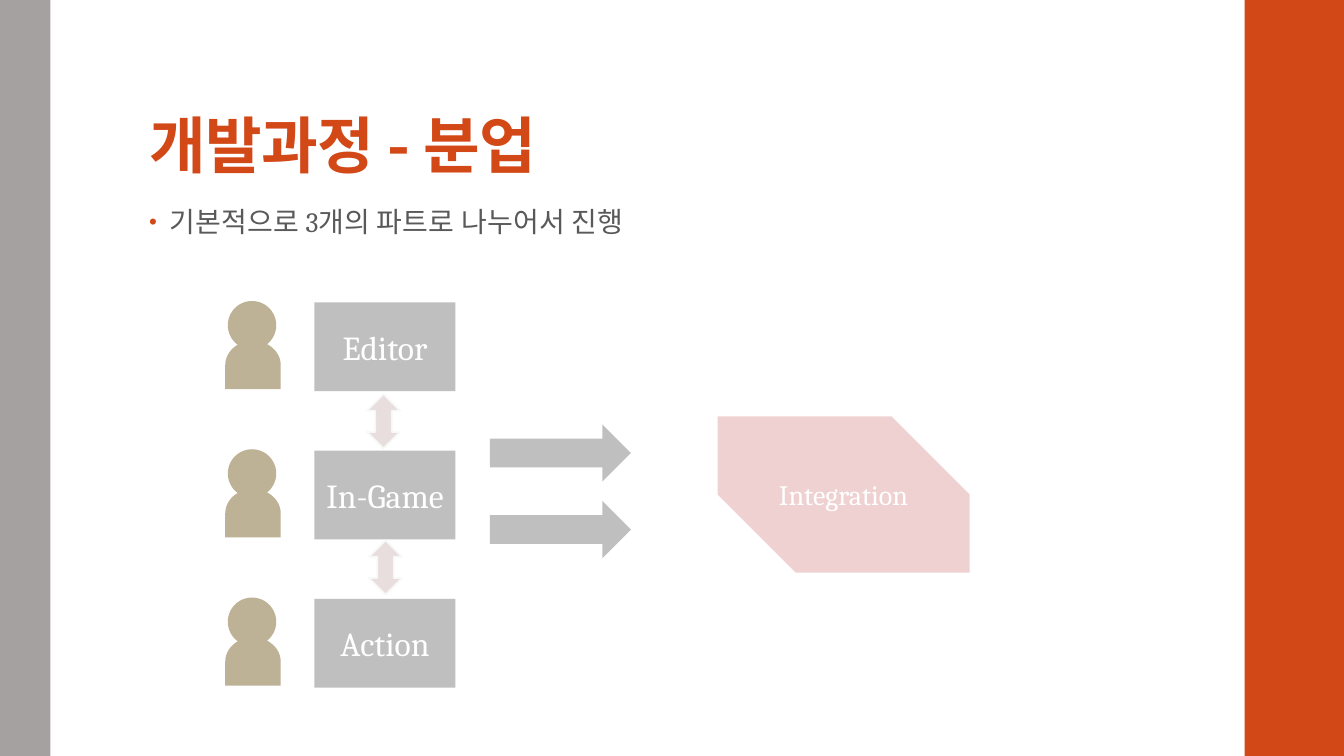
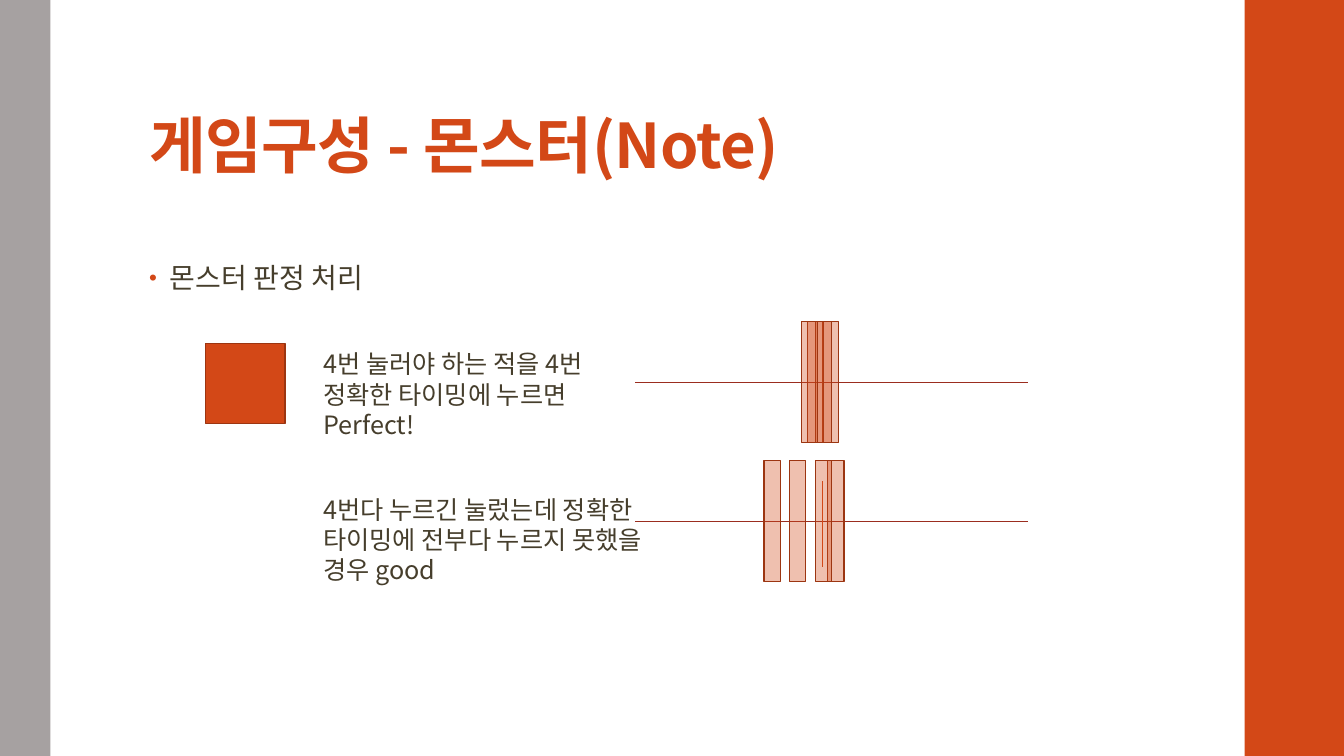
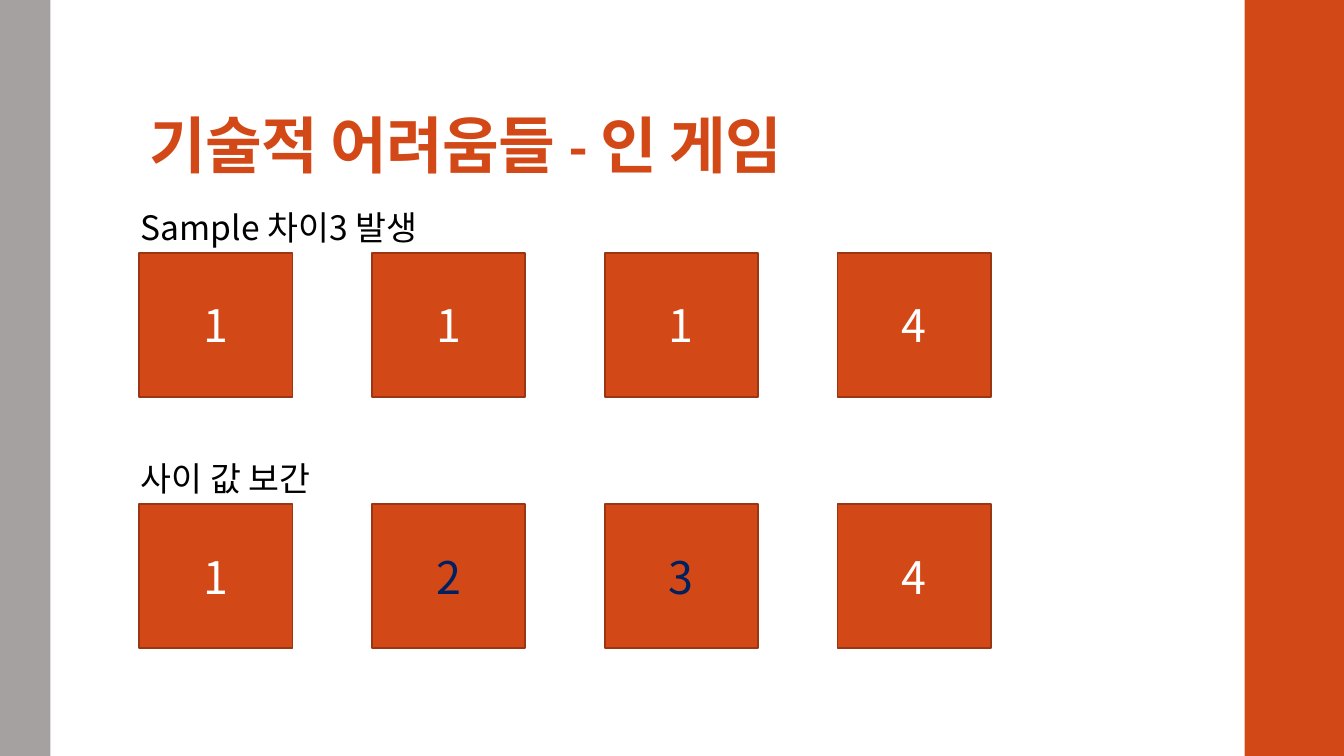
from dataclasses import dataclass

import pptx
import pptx.dml.color
import pptx.enum.shapes
import pptx.enum.text
import pptx.oxml.ns
import pptx.util

Pt = pptx.util.Pt
RGB = pptx.dml.color.RGBColor.from_string
SHAPE = pptx.enum.shapes.MSO_SHAPE
ALIGN = pptx.enum.text.PP_ALIGN
ANCHOR = pptx.enum.text.MSO_ANCHOR
qn = pptx.oxml.ns.qn


@dataclass(frozen=True)
class Theme:
    accent: str = "D34817"
    edge: str = "9C3511"
    axis: str = "9B2D1F"
    band: str = "A6A1A1"
    person: str = "BDB196"
    block: str = "BFBFBF"
    result: str = "EFD1D1"
    link: str = "E8DEDE"
    link_edge: str = "F9F9F9"
    grey_text: str = "595959"
    text: str = "463E2C"
    white: str = "FFFFFF"
    black: str = "000000"
    navy: str = "002060"
    serif: str = "Cambria"
    sans: str = "Noto Sans CJK KR"
    title_size: int = 44
    number_size: int = 32
    label_size: int = 24
    body_size: int = 20
    note_size: int = 18
    edge_width: float = 1.1
    axis_width: float = 0.75


T = Theme()

BANDS = [((889, 0, 71, 540), T.accent), ((0, 0, 36, 540), T.band)]
TITLE_BOX = (99.4, 23, 763, 110.2)
BODY_LEFT, BODY_WIDTH = 99.4, 677

TEAM_SLIDE = {
    "title": "개발과정 - 분업",
    "bullet": "기본적으로 3개의 파트로 나누어서 진행",
    "teams": ["Editor", "In-Game", "Action"],
    "result": "Integration",
    "links": [(262.1, 281.5), (263.5, 385.9)],
    "flow_tops": [303.1, 357.8],
}

# bars: left edges of the key presses on each timing row
NOTE_SLIDE = {
    "title": "게임구성 - 몬스터(Note)",
    "bullet": "몬스터 판정 처리",
    "rows": [
        {"top": 229.7, "text_top": 245.5, "bars": [587.5, 576.7, 582.5, 572.4],
         "text": ["4번 눌러야 하는 적을 4번 정확한 타이밍에 누르면", "Perfect!"]},
        {"top": 329, "text_top": 349.2, "bars": [591.1, 563.8, 582.5, 545.8],
         "text": ["4번다 누르긴 눌렀는데 정확한 타이밍에 전부다 누르지 못했을 경우 good"]},
    ],
}

SAMPLE_SLIDE = {
    "title": "기술적 어려움들 - 인 게임",
    "rows": [
        {"top": 180.7, "label": "Sample 차이3 발생", "font": T.sans,
         "values": [1, 1, 1, 4], "filled_in": []},
        {"top": 360, "label": "사이 값 보간", "font": T.serif,
         "values": [1, 2, 3, 4], "filled_in": [2, 3]},
    ],
}


def put(obj, **values):
    for name, value in values.items():
        setattr(obj, name, value)


def points(box):
    return [Pt(v) for v in box]


def write(tf, lines, font, size, color, bold=False, spacing=None, **paragraph):
    """Fill a text frame, one paragraph a line, Korean always in the sans font."""
    for i, line in enumerate(lines):
        p = tf.add_paragraph() if i else tf.paragraphs[0]
        put(p, **paragraph)
        r = p.add_run()
        r.text = line
        put(r.font, name=font, size=Pt(size), bold=bold)
        r.font.color.rgb = RGB(color)
        rPr = r._r.get_or_add_rPr()
        if spacing is not None:
            rPr.set("spc", str(round(spacing * 100)))
        ea = rPr.makeelement(qn("a:ea"), {"typeface": T.sans})
        rPr.find(qn("a:latin")).addnext(ea)


def set_alpha(solid_fill, percent):
    color = solid_fill.find(qn("a:srgbClr"))
    color.append(color.makeelement(qn("a:alpha"), {"val": str(percent * 1000)}))


def add_shape(shapes, kind, box, fill, edge=None, width=T.edge_width,
              alpha=None, edge_alpha=None):
    sp = shapes.add_shape(kind, *points(box))
    sp.shadow.inherit = False
    sp.fill.solid()
    sp.fill.fore_color.rgb = RGB(fill)
    spPr = sp.element.spPr
    if alpha:
        set_alpha(spPr.find(qn("a:solidFill")), alpha)
    if edge:
        sp.line.color.rgb = RGB(edge)
        sp.line.width = Pt(width)
        if edge_alpha:
            set_alpha(spPr.find(qn("a:ln")).find(qn("a:solidFill")), edge_alpha)
    else:
        sp.line.fill.background()
    return sp


def add_label(sp, text, font, size, color=T.white):
    sp.text_frame.vertical_anchor = ANCHOR.MIDDLE
    write(sp.text_frame, [text], font, size, color, alignment=ALIGN.CENTER)


def add_line(shapes, x1, y1, x2, y2, color):
    line = shapes.add_connector(pptx.enum.shapes.MSO_CONNECTOR.STRAIGHT,
                                *points((x1, y1, x2, y2)))
    line.line.color.rgb = RGB(color)
    line.line.width = Pt(T.axis_width)
    spPr = line.element.spPr
    spPr.append(spPr.makeelement(qn("a:effectLst"), {}))


def add_text(shapes, box, lines, font, size, color):
    tf = shapes.add_textbox(*points(box)).text_frame
    tf.word_wrap = True
    write(tf, lines, font, size, color)


def add_bullet(shapes, top, text, font, color):
    tf = shapes.add_textbox(*points((BODY_LEFT, top, BODY_WIDTH, 40))).text_frame
    tf.word_wrap = True
    pPr = tf.paragraphs[0]._p.get_or_add_pPr()
    indent = Pt(14.4)
    pPr.set("marL", str(int(indent)))
    pPr.set("indent", str(-int(indent)))
    bullet_color = pPr.makeelement(qn("a:buClr"), {})
    bullet_color.append(pPr.makeelement(qn("a:srgbClr"), {"val": T.accent}))
    pPr.append(bullet_color)
    for tag, attrs in (("a:buSzPct", {"val": "80000"}),
                       ("a:buFont", {"typeface": "Arial"}),
                       ("a:buChar", {"char": "•"})):
        pPr.append(pPr.makeelement(qn(tag), attrs))
    write(tf, [text], font, T.body_size, color, spacing=0.1,
          line_spacing=0.95, space_after=Pt(2))


def add_slide(prs, title, font=T.sans):
    slide = prs.slides.add_slide(prs.slide_layouts.get_by_name("Title Only"))
    sp = slide.shapes.title
    put(sp, **dict(zip(("left", "top", "width", "height"), points(TITLE_BOX))))
    tf = sp.text_frame
    put(tf, vertical_anchor=ANCHOR.BOTTOM, word_wrap=True,
        auto_size=pptx.enum.text.MSO_AUTO_SIZE.NONE, margin_left=Pt(7.2),
        margin_right=Pt(7.2), margin_top=Pt(2.2), margin_bottom=Pt(3.6))
    write(tf, [title], font, T.title_size, T.accent, bold=True, spacing=-0.5,
          alignment=ALIGN.LEFT, line_spacing=0.9)
    return slide


def move_bands_to_layout(slide):
    """Draw the side bands once, on the layout that every slide uses."""
    for box, color in BANDS:
        band = add_shape(slide.shapes, SHAPE.RECTANGLE, box, color)
        slide.slide_layout.shapes.element.append(band.element)


def add_person(shapes, left, top):
    person = shapes.add_group_shape().shapes
    add_shape(person, SHAPE.OVAL, (left, top, 34.6, 34.6), T.person)
    body = add_shape(person, SHAPE.FLOWCHART_DELAY,
                     (left + 0.7, top + 25.9, 34.6, 39.6), T.person)
    body.rotation = 270


def build_teams(prs, data):
    slide = add_slide(prs, data["title"])
    move_bands_to_layout(slide)
    shapes = slide.shapes
    add_bullet(shapes, 144, data["bullet"], T.serif, T.grey_text)
    for i, team in enumerate(data["teams"]):
        top = 216 + 105.9 * i
        add_person(shapes, 162.7, top - 1)
        sp = add_shape(shapes, SHAPE.RECTANGLE, (224.6, top, 100.8, 63.4), T.block)
        add_label(sp, team, T.serif, T.label_size)
    sp = add_shape(shapes, SHAPE.SNIP_2_DIAG_RECTANGLE,
                   (512.6, 297.4, 180, 111.6), T.result)
    sp.adjustments[0], sp.adjustments[1] = 0, 0.5
    add_label(sp, data["result"], T.serif, T.body_size)
    for top in data["flow_tops"]:
        add_shape(shapes, SHAPE.RIGHT_ARROW, (349.9, top, 100.8, 41), T.block)
    for left, top in data["links"]:
        add_shape(shapes, SHAPE.UP_DOWN_ARROW, (left, top, 23.8, 38.9), T.link,
                  T.link_edge, 1.35, edge_alpha=95)


def build_notes(prs, data):
    shapes = add_slide(prs, data["title"]).shapes
    add_bullet(shapes, 184, data["bullet"], T.sans, T.text)
    add_shape(shapes, SHAPE.RECTANGLE, (146.9, 245.5, 56.9, 56.9), T.accent, T.edge)
    for row in data["rows"]:
        top = row["top"]
        add_line(shapes, 453.6, top + 43.7, 734.4, top + 43.7, T.axis)
        add_line(shapes, 587.5, top + 14.8, 587.5, top + 76, T.accent)
        add_text(shapes, (223.9, row["text_top"], 244.8, 94), row["text"],
                 T.sans, T.note_size, T.text)
        for left in row["bars"]:
            add_shape(shapes, SHAPE.RECTANGLE, (left, top, 11.6, 86.4),
                      T.accent, T.edge, alpha=34)


def build_samples(prs, data):
    shapes = add_slide(prs, data["title"], T.serif).shapes
    for row in data["rows"]:
        for i, value in enumerate(row["values"]):
            box = (99.4 + 166.3 * i, row["top"], 109.4, 103)
            sp = add_shape(shapes, SHAPE.RECTANGLE, box, T.accent, T.edge)
            color = T.navy if value in row["filled_in"] else T.white
            add_label(sp, str(value), T.sans, T.number_size, color)
        add_text(shapes, (93.6, row["top"] - 36.7, 306.7, 36), [row["label"]],
                 row["font"], T.label_size, T.black)


def main():
    prs = pptx.Presentation()
    put(prs, slide_width=Pt(960), slide_height=Pt(540))
    build_teams(prs, TEAM_SLIDE)
    build_notes(prs, NOTE_SLIDE)
    build_samples(prs, SAMPLE_SLIDE)
    prs.save("out.pptx")


if __name__ == "__main__":
    main()
